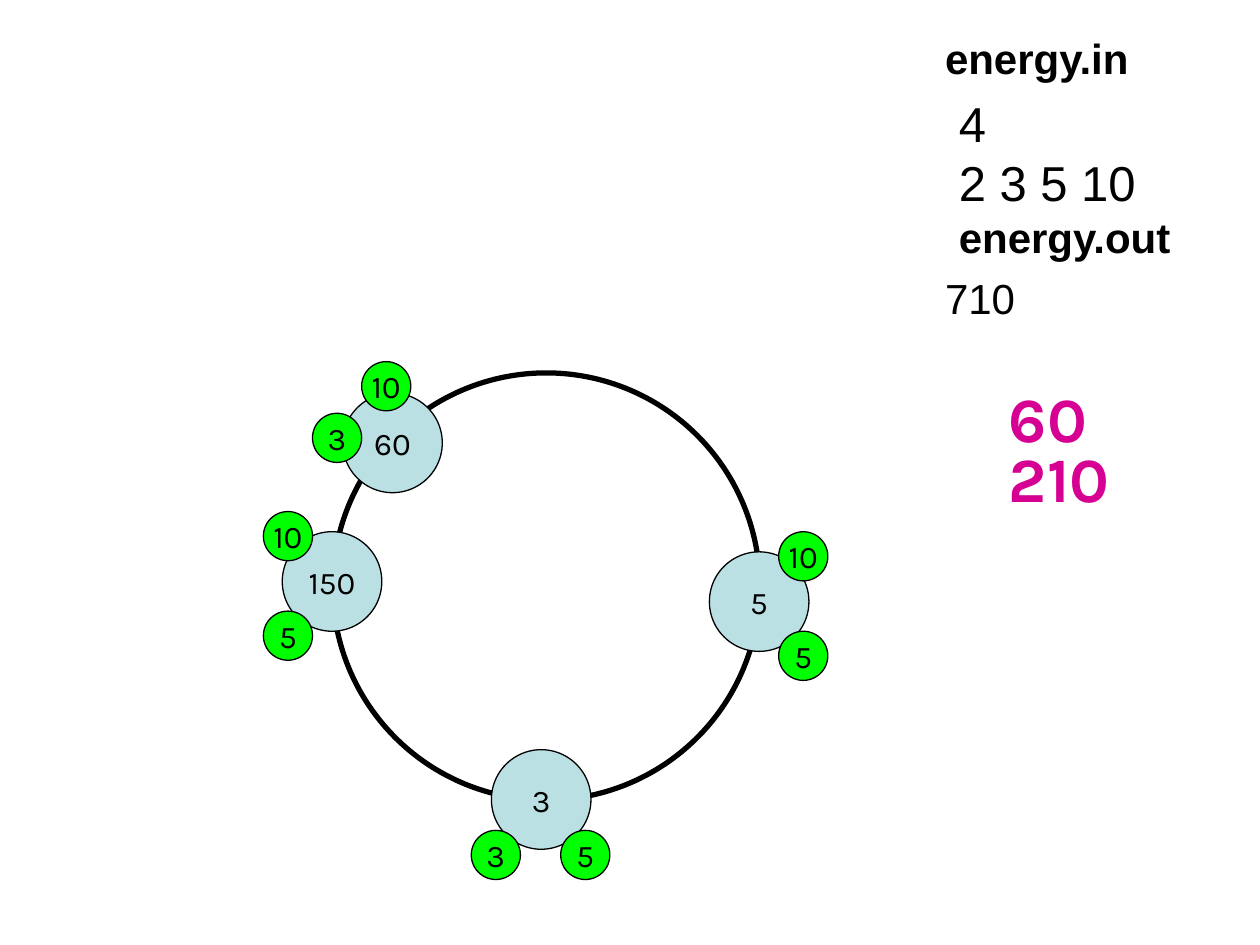
from pptx import Presentation
from pptx.dml.color import RGBColor
from pptx.enum import shapes, text
from pptx.oxml.xmlchemy import OxmlElement
from pptx.util import Inches, Pt

# Content: each paragraph is (left margin, [(text, size, bold)])
EXAMPLE = [
    (0.27, [("energy.in", 24, True)]),
    (0.38, [("4\v2 3 5 10\v", 28, False), ("energy.out", 24, True)]),
    (0.27, [("710", 24, False)]),
]
# Each bead: (value, left, top, [(mark, offset x, offset y)])
BEADS = [
    ("5", 5.63, 4.38, [("10", 0.55, -0.16), ("5", 0.55, 0.63)]),
    ("3", 3.9, 5.95, [("3", -0.16, 0.64), ("5", 0.55, 0.64)]),
    ("60", 2.72, 3.12, [("10", 0.15, -0.25), ("3", -0.24, 0.16)]),
    ("150", 2.24, 4.22, [("10", -0.15, -0.16), ("5", -0.15, 0.63)]),
]
# Running totals: (text, top, width)
TOTALS = [("60", 2.96, 0.94), ("210", 3.44, 1.26)]

THEME = {
    "ink": "000000", "bead": "BBE0E3", "mark": "00FF00", "total": "D60093",
    "body_font": "Arial", "label_font": "Karla",
    "label_size": 18, "total_size": 36,
}
BEAD_SIZE, MARK_SIZE = 0.79, 0.39


def color(name):
    return RGBColor.from_string(THEME[name])


def add_text(paragraph, content, size, font="label_font", ink="ink", bold=False):
    for index, line in enumerate(content.split("\v")):
        if index:
            paragraph.add_line_break()
        if line:
            run = paragraph.add_run()
            run.text = line
            run.font.name = THEME[font]
            run.font.size = Pt(size)
            run.font.bold = bold
            run.font.color.rgb = color(ink)


def add_circle(parent, left, top, size, fill=None, line=0.75, label=None):
    shape = parent.add_shape(shapes.MSO_SHAPE.OVAL, Inches(left), Inches(top),
                             Inches(size), Inches(size))
    shape.shadow.inherit = False
    shape.line.color.rgb = color("ink")
    shape.line.width = Pt(line)
    if fill:
        shape.fill.solid()
        shape.fill.fore_color.rgb = color(fill)
    else:
        shape.fill.background()
    if label:
        frame = shape.text_frame
        frame.word_wrap = False
        frame.vertical_anchor = text.MSO_ANCHOR.MIDDLE
        frame.paragraphs[0].alignment = text.PP_ALIGN.CENTER
        add_text(frame.paragraphs[0], label, THEME["label_size"])


def add_example(slide):
    body = slide.placeholders[1]
    body.left, body.top = Inches(7.13), Inches(0.21)
    body.width, body.height = Inches(2.68), Inches(2.6)
    frame = body.text_frame
    frame.auto_size = text.MSO_AUTO_SIZE.NONE
    for index, (margin, runs) in enumerate(EXAMPLE):
        paragraph = frame.add_paragraph() if index else frame.paragraphs[0]
        properties = paragraph._p.get_or_add_pPr()
        properties.set("marL", str(Inches(margin)))
        properties.set("indent", "0")
        properties.append(OxmlElement("a:buNone"))
        paragraph.space_before = Pt(6 if index else 0)
        for content, size, bold in runs:
            add_text(paragraph, content, size, font="body_font", bold=bold)


def main():
    presentation = Presentation()
    presentation.slide_width, presentation.slide_height = Inches(10), Inches(7.5)
    slide = presentation.slides.add_slide(presentation.slide_layouts[1])
    title = slide.shapes.title._element
    title.getparent().remove(title)

    # Sample input and output
    add_example(slide)

    # Necklace with its beads and their marks
    add_circle(slide.shapes, 2.64, 2.96, 3.39, line=3)
    for value, left, top, marks in BEADS:
        group = slide.shapes.add_group_shape().shapes
        add_circle(group, left, top, BEAD_SIZE, fill="bead", label=value)
        for mark, dx, dy in marks:
            add_circle(group, left + dx, top + dy, MARK_SIZE, fill="mark", label=mark)

    # Running totals
    for total, top, width in TOTALS:
        box = slide.shapes.add_textbox(Inches(7.91), Inches(top), Inches(width), Inches(0.7))
        box.text_frame.word_wrap = True
        add_text(box.text_frame.paragraphs[0], total, THEME["total_size"],
                 ink="total", bold=True)

    presentation.save("out.pptx")


if __name__ == "__main__":
    main()
